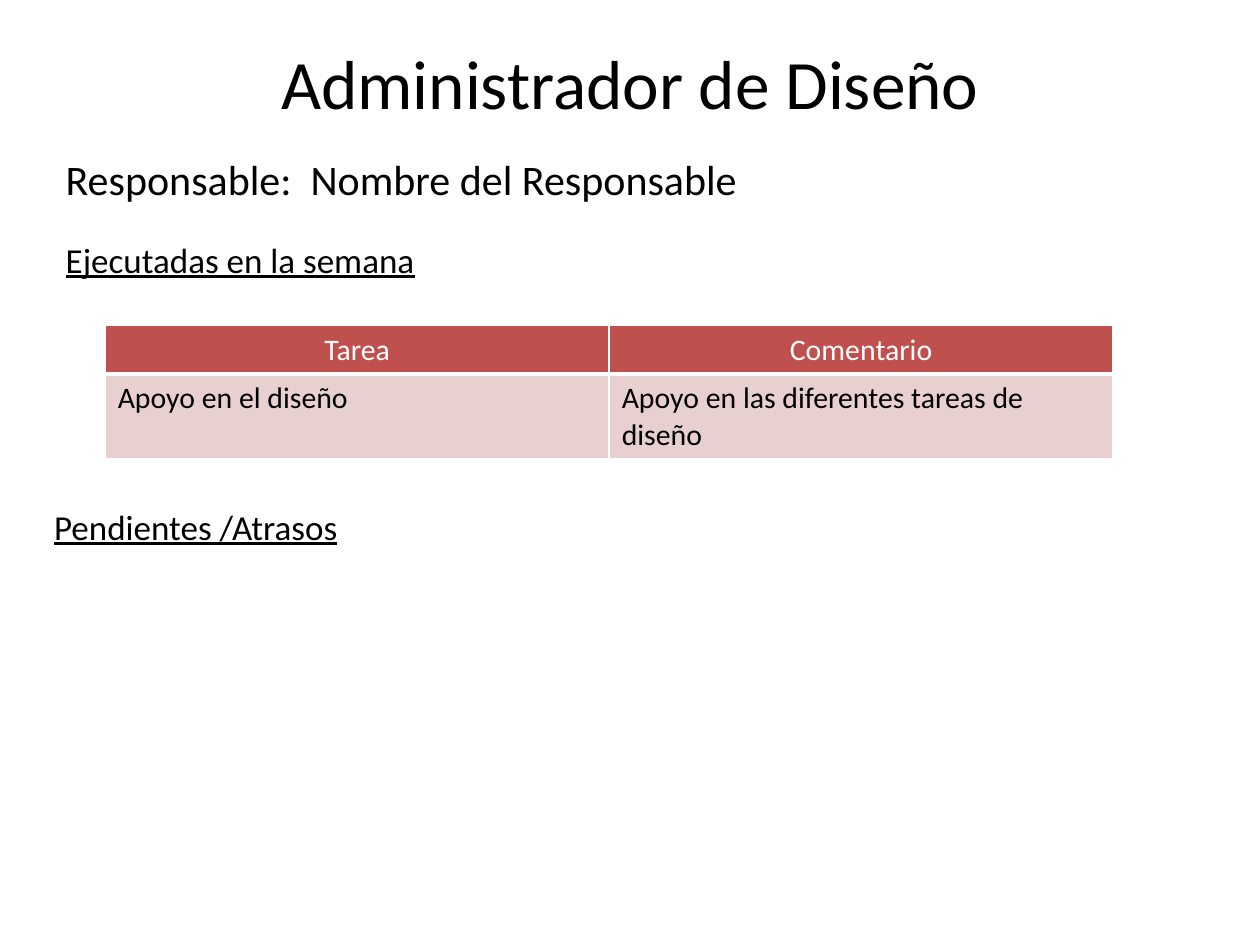
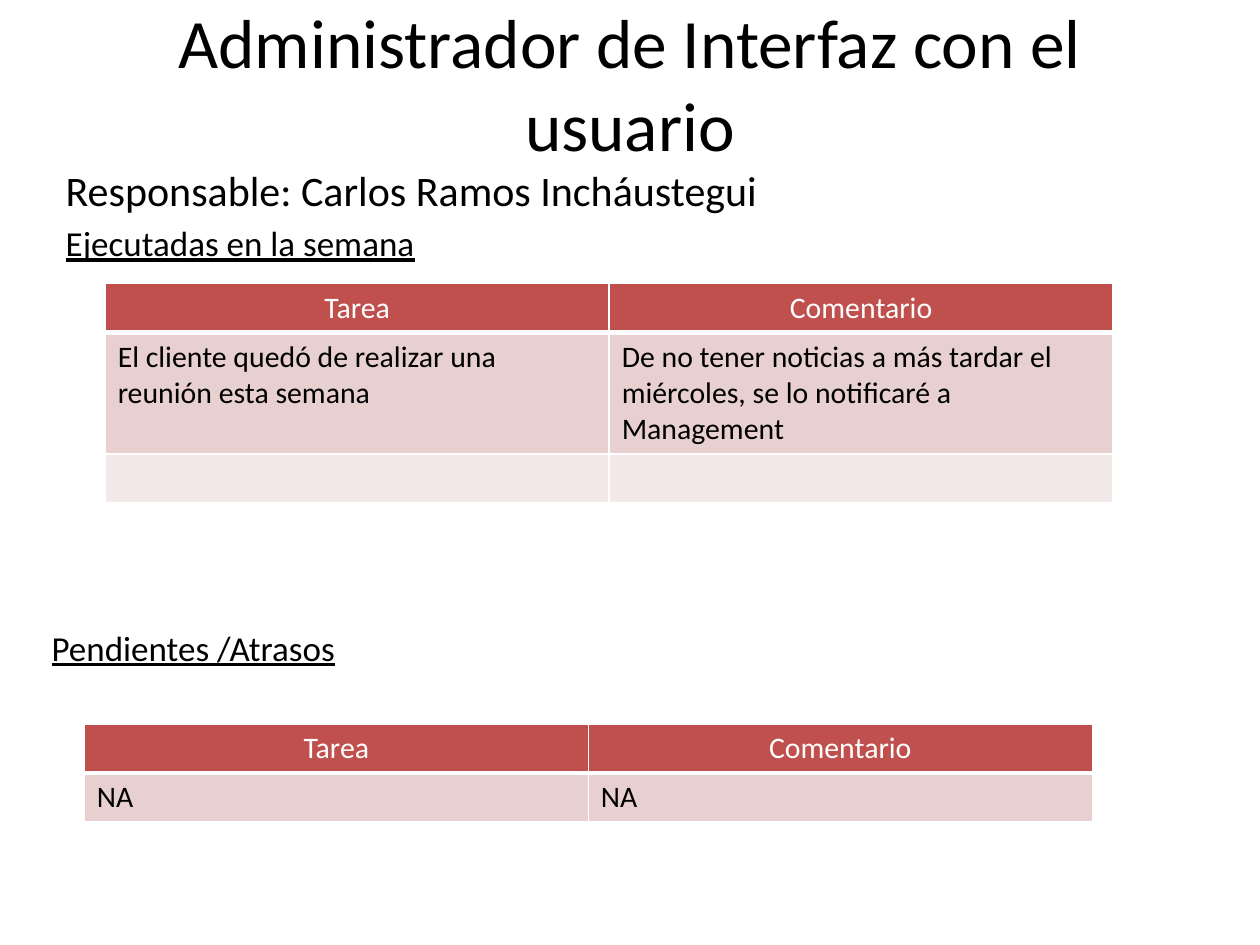
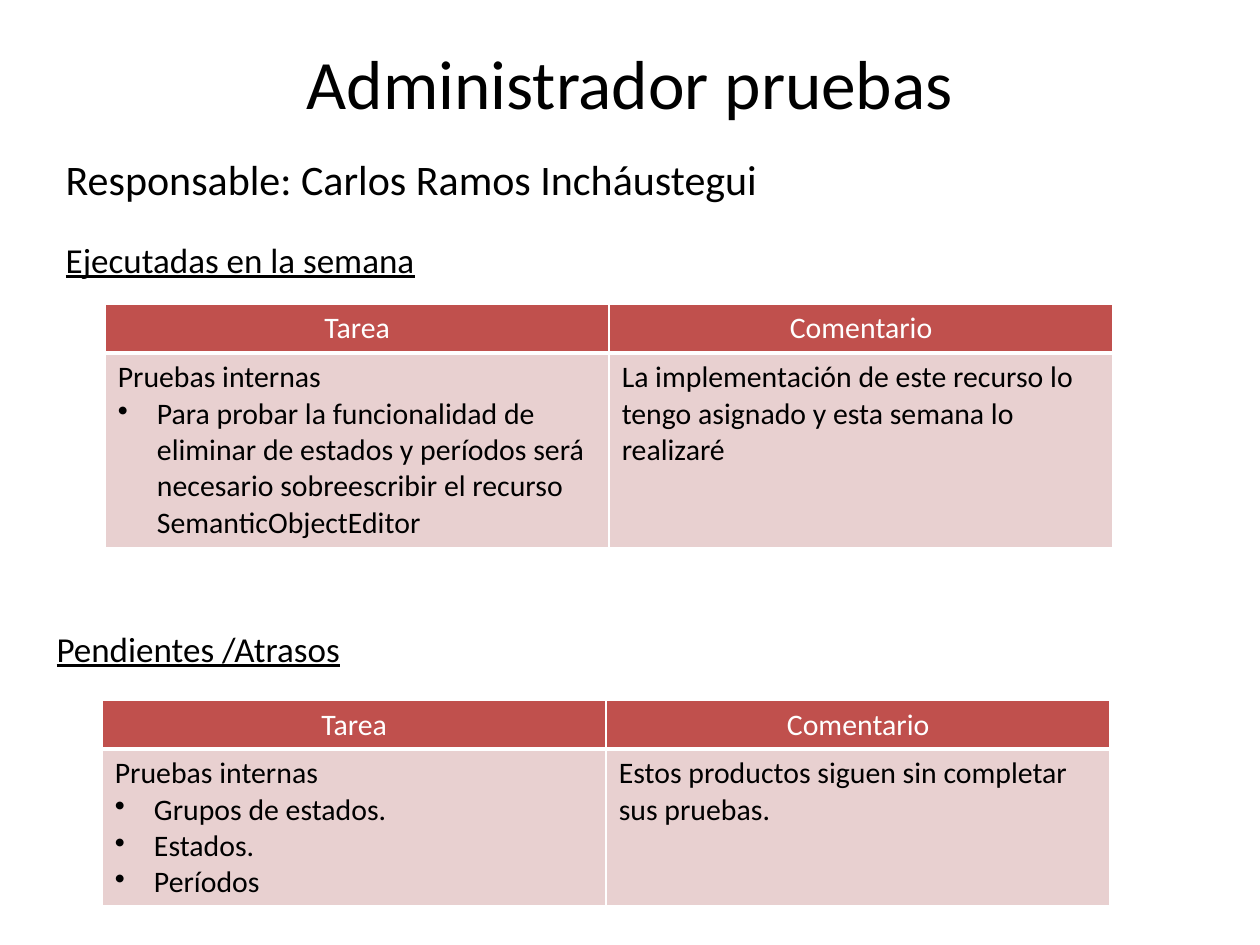
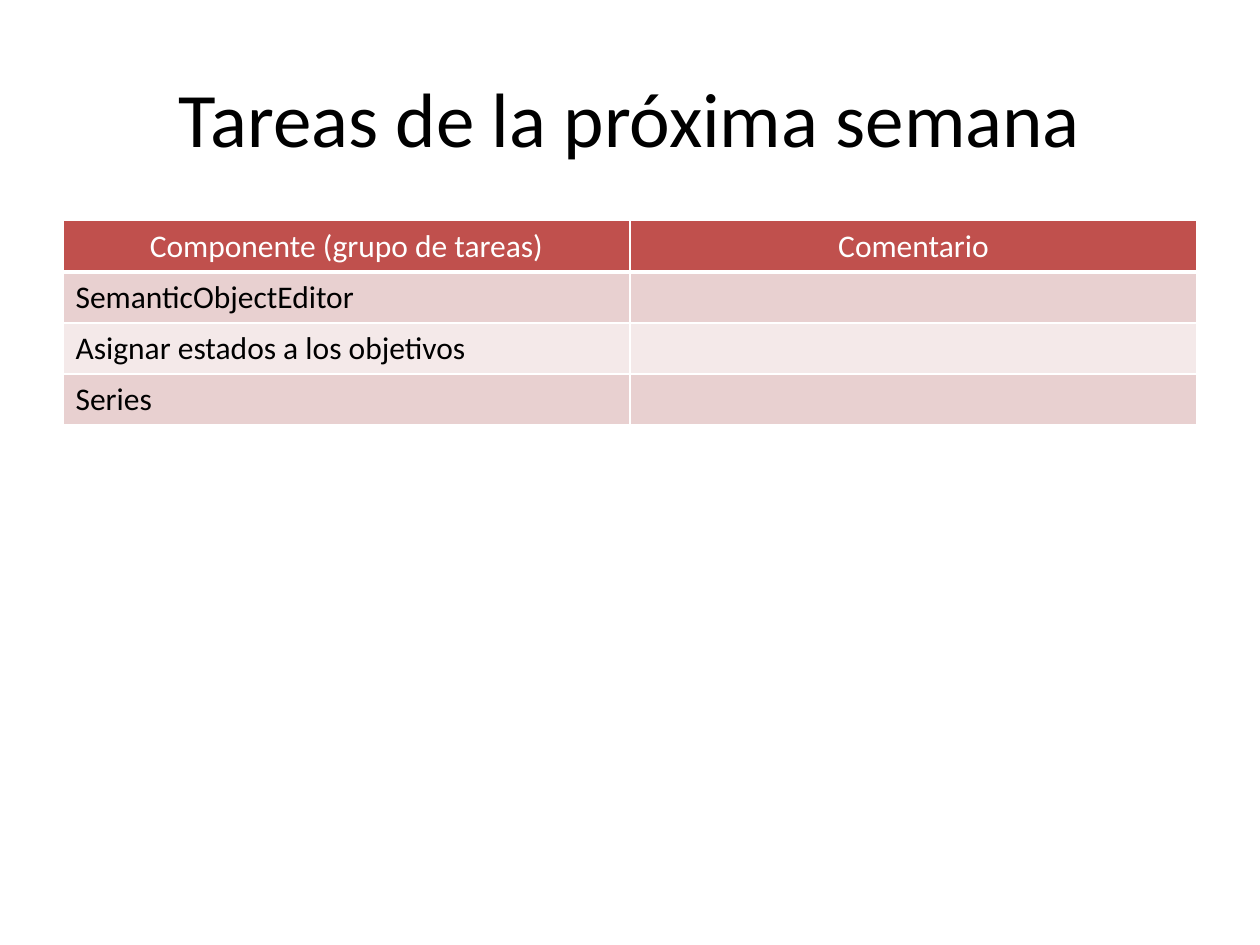
from lxml.etree import SubElement
from pptx import Presentation
from pptx.dml.color import RGBColor
from pptx.enum.text import MSO_ANCHOR, MSO_AUTO_SIZE, PP_ALIGN
from pptx.oxml.ns import qn
from pptx.util import Cm, Pt

FONT = "Calibri"
BLACK = RGBColor(0x00, 0x00, 0x00)
WHITE = RGBColor(0xFF, 0xFF, 0xFF)
HEADER_RED = RGBColor(0xC0, 0x50, 0x4D)
BANDS = (RGBColor(0xE8, 0xD0, 0xD0), RGBColor(0xF4, 0xE9, 0xE9))

CONTENT_LAYOUT, TITLE_LAYOUT = 1, 5
TEXT_INDENT = Cm(0.95)
BULLET_INDENT = Cm(0.79)
TEXT_WIDTH = Cm(23.7)
ROW_HEIGHT = 0.98
TASK_HEADINGS = ("Tarea", "Comentario")


def place(shape, left, top, width, height):
    shape.left, shape.top, shape.width, shape.height = left, top, width, height


def style(paragraph, size, color=BLACK, underline=None):
    font = paragraph.font
    font.name = FONT
    font.size = Pt(size)
    font.bold = False
    font.underline = underline
    font.color.rgb = color


def hang(paragraph, indent, bullet=None):
    properties = paragraph._p.get_or_add_pPr()
    properties.set("marL", str(indent))
    properties.set("indent", str(-indent))
    tag = "a:buChar" if bullet else "a:buNone"
    mark = properties.makeelement(qn(tag), {"char": bullet} if bullet else {})
    properties.insert_element_before(mark, "a:tabLst", "a:defRPr", "a:extLst")


def add_titled_slide(presentation, layout, title, size=39.6, height=1.78):
    slide = presentation.slides.add_slide(presentation.slide_layouts[layout])
    shape = slide.shapes.title
    place(shape, Cm(1.27), Cm(0.76), Cm(22.86), Cm(height))
    frame = shape.text_frame
    frame.text = title
    frame.auto_size = MSO_AUTO_SIZE.NONE
    frame.vertical_anchor = MSO_ANCHOR.MIDDLE
    paragraph = frame.paragraphs[0]
    paragraph.alignment = PP_ALIGN.CENTER
    style(paragraph, size)
    return slide


def fill_body(slide, responsible, top, height, gap):
    body = slide.placeholders[1]
    place(body, Cm(1.07), Cm(top), TEXT_WIDTH, Cm(height))
    frame = body.text_frame
    frame.text = f"Responsable: {responsible}\nEjecutadas en la semana"
    frame.auto_size = MSO_AUTO_SIZE.NONE
    owner, heading = frame.paragraphs
    style(owner, 24)
    style(heading, 20, underline=True)
    heading.space_before = Pt(gap)
    for paragraph in frame.paragraphs:
        hang(paragraph, TEXT_INDENT)


def add_pending_heading(slide, left, top):
    box = slide.shapes.add_textbox(Cm(left), Cm(top), TEXT_WIDTH, Cm(1.47))
    frame = box.text_frame
    frame.word_wrap = True
    frame.text = "Pendientes /Atrasos"
    paragraph = frame.paragraphs[0]
    paragraph.space_before = Pt(4)
    style(paragraph, 20, underline=True)
    hang(paragraph, TEXT_INDENT)


def set_borders(cell, bottom):
    properties = cell._tc.get_or_add_tcPr()
    widths = {"a:lnL": 1, "a:lnR": 1, "a:lnT": 1, "a:lnB": bottom}
    for position, (tag, width) in enumerate(widths.items()):
        line = properties.makeelement(qn(tag), {"w": str(Pt(width))})
        fill = SubElement(line, qn("a:solidFill"))
        SubElement(fill, qn("a:srgbClr"), val=str(WHITE))
        properties.insert(position, line)


def fill_cell(cell, text, size, row):
    header = row == 0
    cell.text = text
    cell.fill.solid()
    cell.fill.fore_color.rgb = HEADER_RED if header else BANDS[(row - 1) % 2]
    set_borders(cell, 3 if header else 1)
    for position, paragraph in enumerate(cell.text_frame.paragraphs):
        style(paragraph, size, WHITE if header else BLACK)
        if header:
            paragraph.alignment = PP_ALIGN.CENTER
        if position:
            hang(paragraph, BULLET_INDENT, "•")


def add_task_table(slide, left, top, rows, heights, width=20.32, size=17,
                   headings=TASK_HEADINGS):
    rows = [headings, *rows]
    frame = slide.shapes.add_table(len(rows), len(headings), Cm(left), Cm(top),
                                   Cm(width), Cm(sum(heights)))
    table = frame.table
    for row, (texts, height) in enumerate(zip(rows, heights)):
        table.rows[row].height = Cm(height)
        for column, text in enumerate(texts):
            fill_cell(table.cell(row, column), text, size, row)


def build_design(presentation):
    slide = add_titled_slide(presentation, CONTENT_LAYOUT, "Administrador de Diseño")
    fill_body(slide, " Nombre del Responsable", 2.97, 3.18, 19.5)
    add_pending_heading(slide, 0.84, 10.06)
    add_task_table(slide, 2.12, 6.56, [
        ("Apoyo en el diseño", "Apoyo en las diferentes tareas de diseño"),
    ], (ROW_HEIGHT, 1.7))


def build_interface(presentation):
    slide = add_titled_slide(presentation, CONTENT_LAYOUT,
                             "Administrador de Interfaz con el usuario")
    fill_body(slide, "Carlos Ramos Incháustegui", 3.18, 2.34, 4)
    add_pending_heading(slide, 0.79, 12.5)
    add_task_table(slide, 2.12, 5.72, [
        ("El cliente quedó de realizar una reunión esta semana",
         "De no tener noticias a más tardar el miércoles, "
         "se lo notificaré a Management"),
        ("", ""),
    ], (ROW_HEIGHT, 2.45, ROW_HEIGHT))
    add_task_table(slide, 1.7, 14.6, [("NA", "NA")], (ROW_HEIGHT, ROW_HEIGHT))


def build_tests(presentation):
    slide = add_titled_slide(presentation, CONTENT_LAYOUT, "Administrador pruebas")
    fill_body(slide, "Carlos Ramos Incháustegui", 2.97, 3.18, 19.5)
    add_task_table(slide, 2.12, 6.13, [
        ("Pruebas internas\nPara probar la funcionalidad de eliminar de estados "
         "y períodos será necesario sobreescribir el recurso SemanticObjectEditor",
         "La implementación de este recurso lo tengo asignado "
         "y esta semana lo realizaré"),
    ], (ROW_HEIGHT, 3.9))
    add_pending_heading(slide, 0.89, 12.52)
    add_task_table(slide, 2.06, 14.12, [
        ("Pruebas internas\nGrupos de estados.\nEstados.\nPeríodos",
         "Estos productos siguen sin completar sus pruebas."),
    ], (ROW_HEIGHT, 3.15))


def build_next_week(presentation):
    slide = add_titled_slide(presentation, TITLE_LAYOUT,
                             "Tareas de la próxima semana", 44, 3.18)
    tasks = ("SemanticObjectEditor", "Asignar estados a los objetivos", "Series")
    add_task_table(slide, 1.27, 4.45, [(task, "") for task in tasks],
                   [1.03] * 4, width=22.86, size=18,
                   headings=("Componente (grupo de tareas)", "Comentario"))


def main():
    presentation = Presentation()
    presentation.slide_width = Cm(25.4)
    presentation.slide_height = Cm(19.05)
    build_design(presentation)
    build_interface(presentation)
    build_tests(presentation)
    build_next_week(presentation)
    presentation.save("out.pptx")


main()
